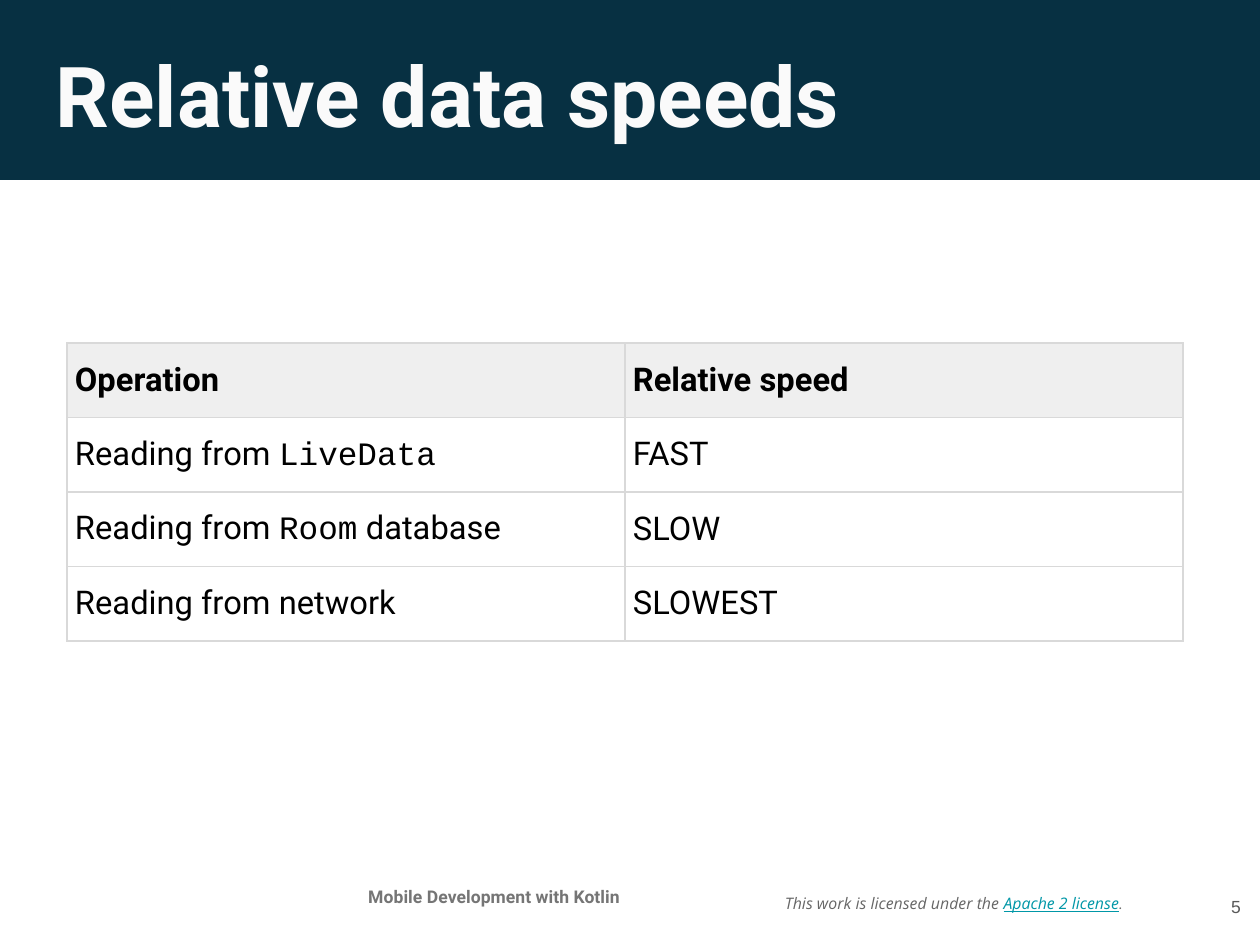
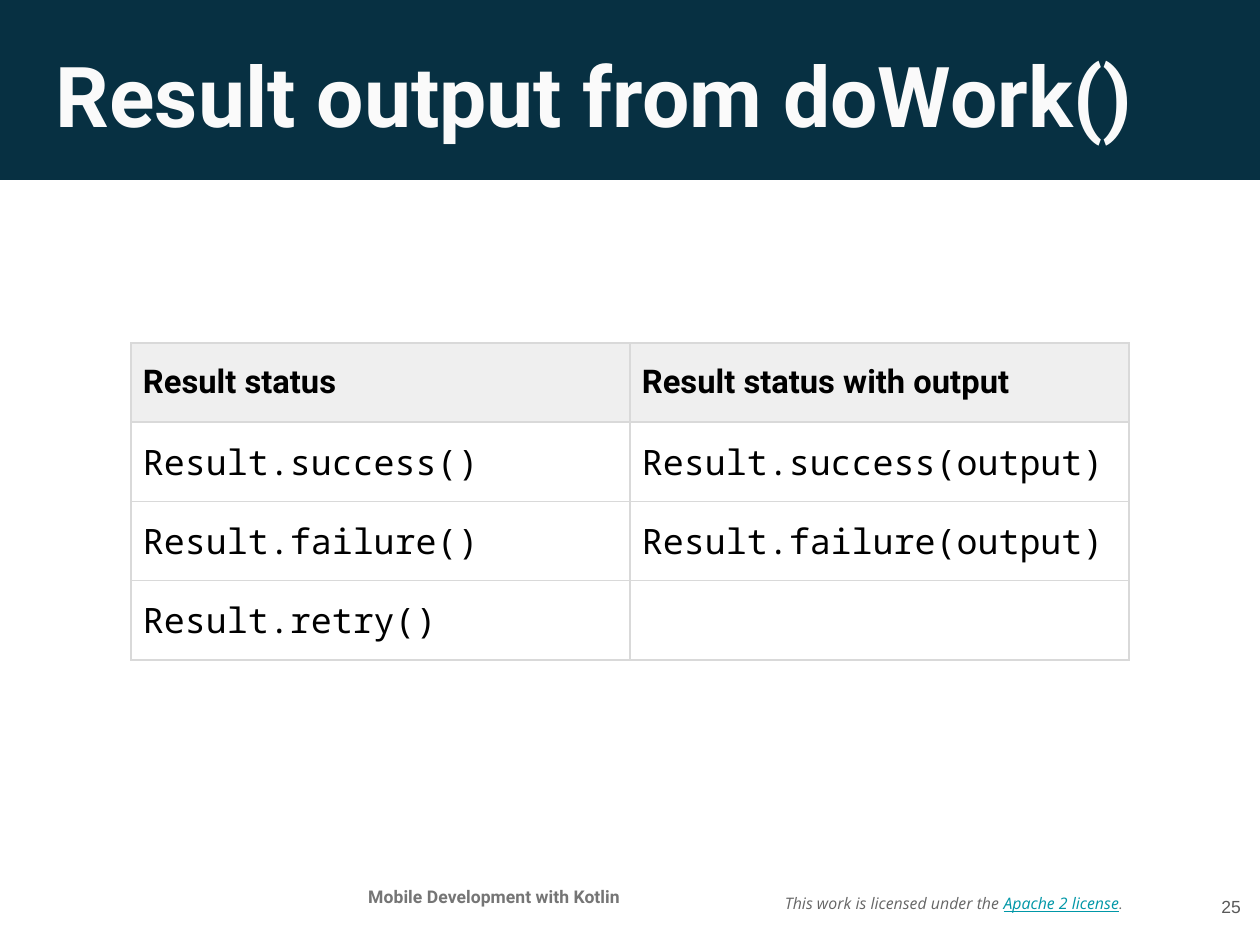
from lxml.etree import SubElement
from pptx import Presentation
from pptx.dml.color import RGBColor
from pptx.enum.shapes import MSO_SHAPE
from pptx.enum.text import MSO_ANCHOR, PP_ALIGN
from pptx.oxml.ns import qn
from pptx.util import Pt

EMU_PER_PX = 914400 / 168
COLORS = {
    "band": "073042", "title": "FAFAFA", "course": "757575", "license": "666666",
    "link": "0097A7", "number": "595959", "body": "000000", "header": "EFEFEF",
    "border": "D9D9D9",
}
SANS, CODE, MONO = "Roboto", "Courier New", "Noto Sans Mono"
BOX_INSET = 12
TABLE_TOP = 343


def px(length):
    return round(length * EMU_PER_PX)


def color(key):
    return RGBColor.from_string(COLORS[key])


def style(font, name, size, color_key, bold=False):
    font.name, font.size, font.bold = name, Pt(size), bold
    font.color.rgb = color(color_key)


def set_insets(frame, inset):
    frame.margin_left = frame.margin_top = px(inset)
    frame.margin_right = frame.margin_bottom = px(inset)


def add_text(slide, box, text, font, align=PP_ALIGN.LEFT, anchor=MSO_ANCHOR.TOP):
    """Add a one-paragraph text box and return its paragraph."""
    frame = slide.shapes.add_textbox(*map(px, box)).text_frame
    frame.word_wrap = True
    frame.vertical_anchor = anchor
    set_insets(frame, BOX_INSET)
    paragraph = frame.paragraphs[0]
    paragraph.alignment = align
    if text:
        paragraph.add_run().text = text
    style(paragraph.font, *font)
    return paragraph


def add_license(slide):
    notice = add_text(slide, (773, 864, 370, 79), "",
                      ("Open Sans", 6.8, "license"), anchor=MSO_ANCHOR.MIDDLE)
    notice.font.italic = True
    for text, name, color_key in (
        ("This work is licensed under the ", "Open Sans", "license"),
        ("Apache 2 license", "Open Sans", "link"),
        (".", SANS, "license"),
    ):
        part = notice.add_run()
        part.text = text
        part.font.name = name
        part.font.color.rgb = color(color_key)
        part.font.underline = color_key == "link"


def add_base_slide(deck, title, number):
    """Add a slide with the title band and the footer."""
    slide = deck.slides.add_slide(deck.slide_layouts[6])
    add_license(slide)
    band = slide.shapes.add_shape(MSO_SHAPE.RECTANGLE, 0, 0, deck.slide_width, px(180))
    band.shadow.inherit = False
    band.fill.solid()
    band.fill.fore_color.rgb = color("band")
    band.line.fill.background()
    add_text(slide, (316, 875, 356, 54), "Mobile Development with Kotlin",
             (SANS, 7.5, "course", True), PP_ALIGN.CENTER)
    add_text(slide, (44, 32, 1174, 106), title, (SANS, 36, "title", True))
    add_text(slide, (1178, 870, 75, 72), str(number),
             ("Arial", 7.5, "number"), PP_ALIGN.RIGHT, MSO_ANCHOR.MIDDLE)
    return slide


def add_borders(cell):
    properties = cell._tc.get_or_add_tcPr()
    for side in ("lnL", "lnR", "lnT", "lnB"):
        line = SubElement(properties, qn(f"a:{side}"), w=str(Pt(0.75)))
        fill = SubElement(line, qn("a:solidFill"))
        SubElement(fill, qn("a:srgbClr"), val=COLORS["border"])


def fill_cell(cell, parts, font, inset, space_after):
    """Write a cell from a string or from (text, font name) parts."""
    add_borders(cell)
    set_insets(cell, inset)
    cell.vertical_anchor = MSO_ANCHOR.MIDDLE
    paragraph = cell.text_frame.paragraphs[0]
    paragraph.space_after = Pt(space_after)
    style(paragraph.font, *font)
    if isinstance(parts, str):
        parts = [(parts, font[0])] if parts else []
    for text, name in parts:
        run = paragraph.add_run()
        run.text = text
        run.font.name = name


def add_grid(slide, left, width, height, rows, body_font, inset, header_space):
    """Add a table with equal rows and columns under a grey header."""
    column_count = len(rows[0])
    table = slide.shapes.add_table(len(rows), column_count, px(left), px(TABLE_TOP),
                                   px(width), px(height)).table
    table.first_row = table.horz_banding = False
    for r, row in enumerate(rows):
        for c, parts in enumerate(row):
            cell = table.cell(r, c)
            if r == 0:
                fill_cell(cell, parts, (SANS, 14, "body", True), inset, header_space)
                cell.fill.solid()
                cell.fill.fore_color.rgb = color("header")
            else:
                fill_cell(cell, parts, body_font, inset, 6)
                cell.fill.background()


def main():
    deck = Presentation()
    deck.slide_width, deck.slide_height = px(1260), px(945)

    # Data speeds
    speeds = add_base_slide(deck, "Relative data speeds", 5)
    add_grid(speeds, 67, 1116, 298, [
        ("Operation", "Relative speed"),
        ([("Reading from ", SANS), ("LiveData", CODE)], "FAST"),
        ([("Reading from ", SANS), ("Room", CODE), (" database", SANS)], "SLOW"),
        ("Reading from network", "SLOWEST"),
    ], (SANS, 14, "body"), inset=8, header_space=6)

    # Worker results
    results = add_base_slide(deck, "Result output from doWork()", 25)
    add_grid(results, 131, 998, 317, [
        ("Result status", "Result status with output"),
        ("Result.success()", "Result.success(output)"),
        ("Result.failure()", "Result.failure(output)"),
        ("Result.retry()", ""),
    ], (MONO, 15, "body"), inset=12, header_space=0)

    deck.save("out.pptx")


if __name__ == "__main__":
    main()
